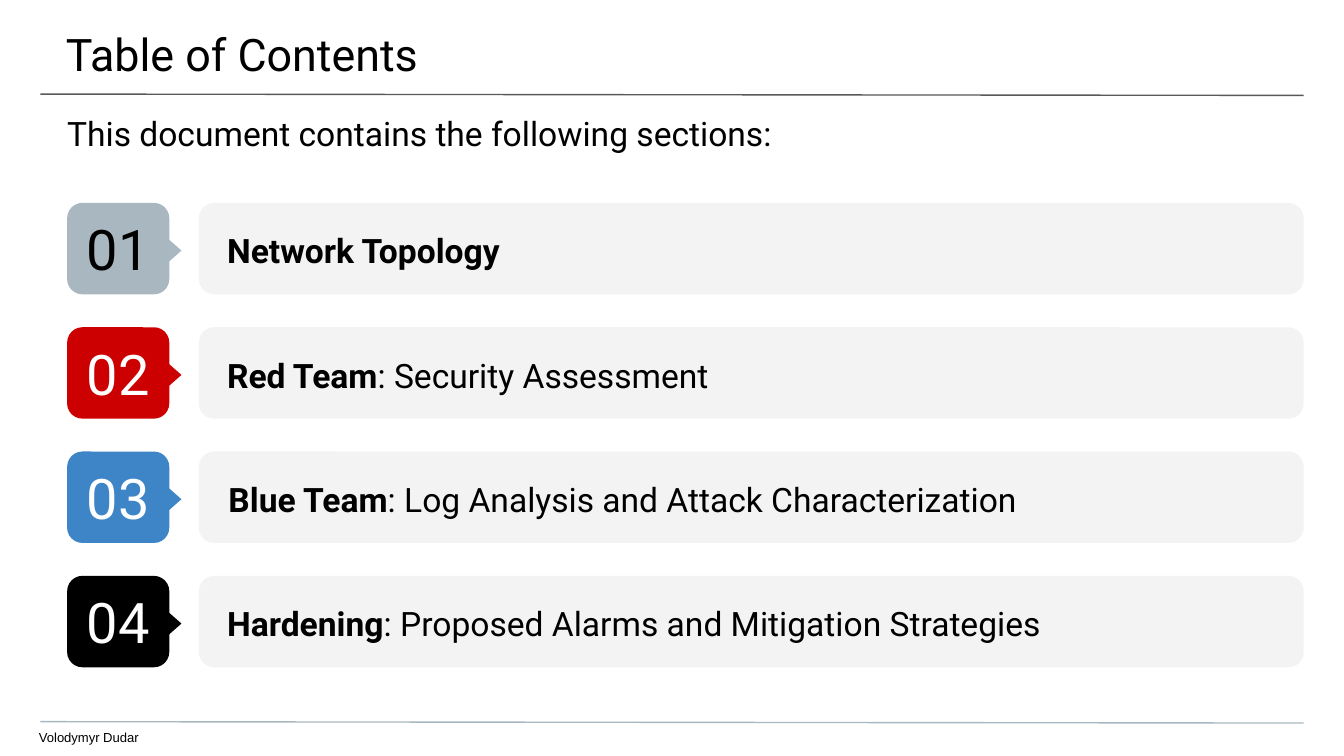
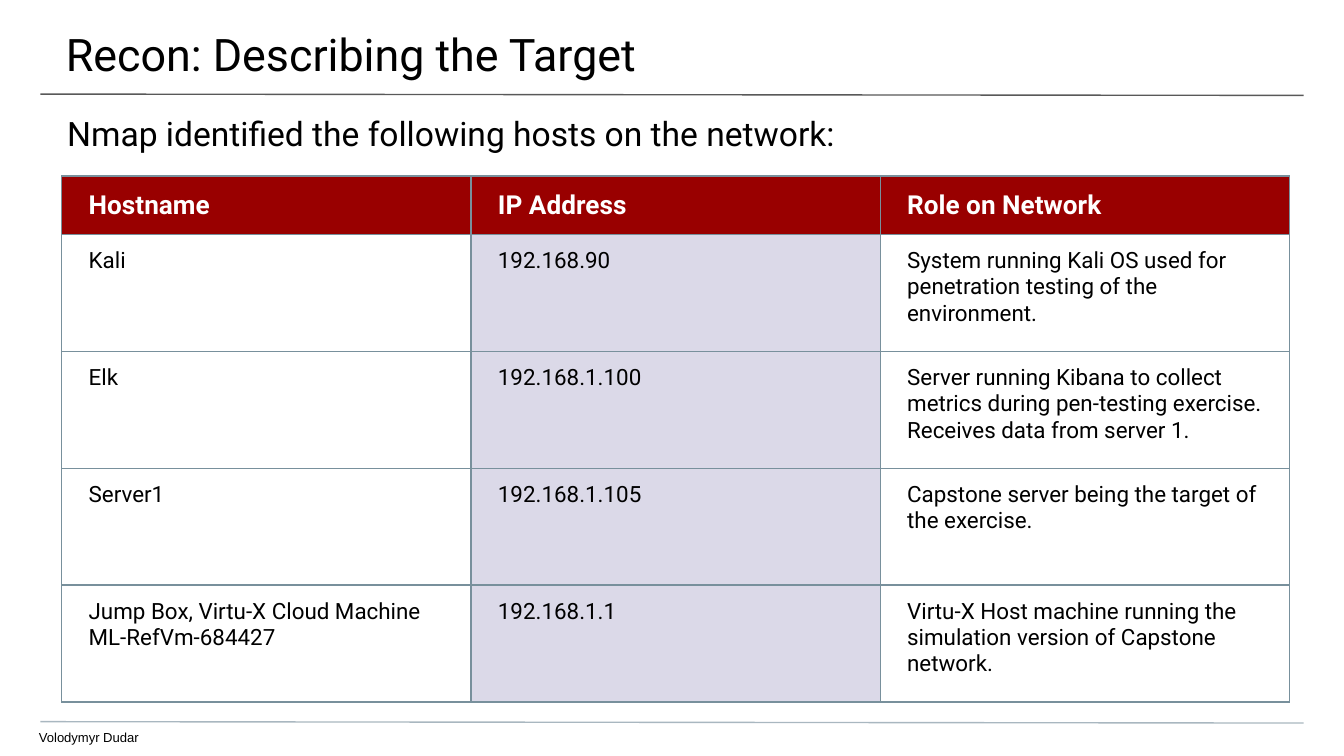
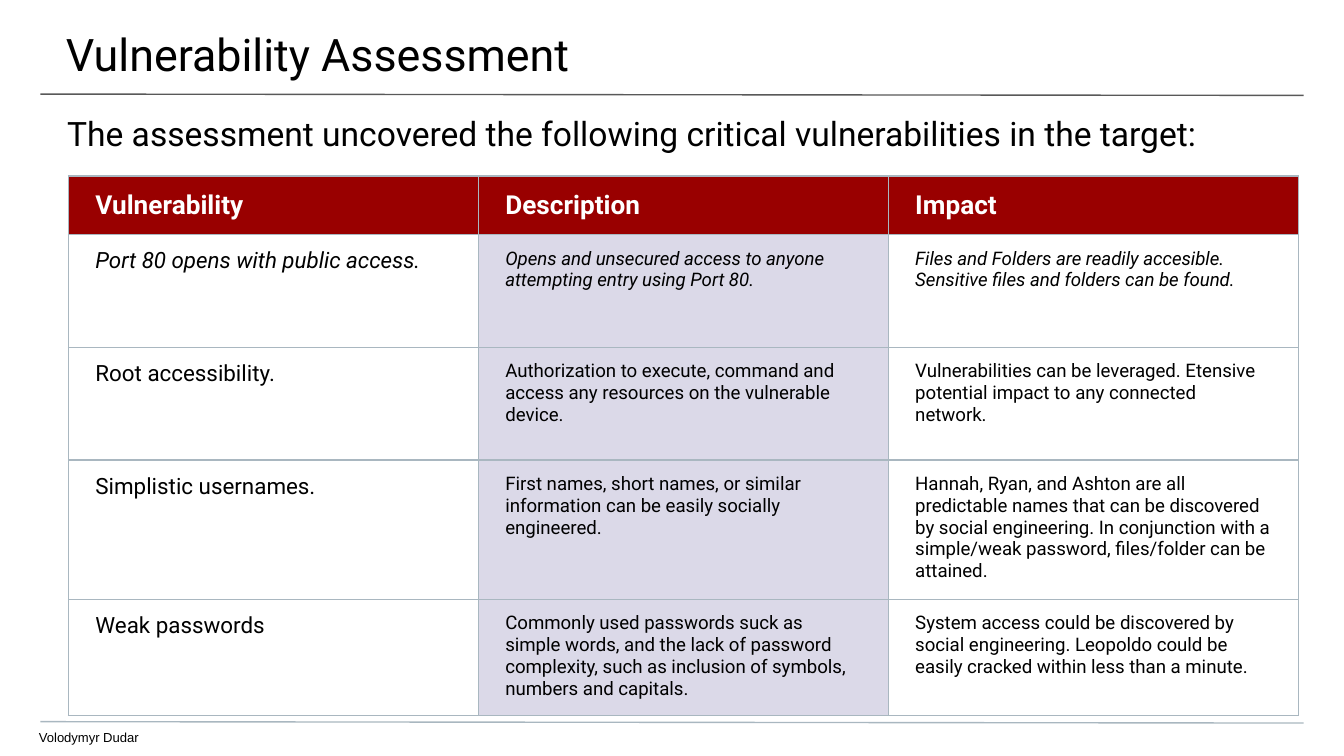
"""Builds three slides of a network security report: contents, hosts and vulnerabilities."""
from dataclasses import dataclass, replace
from typing import NamedTuple

from lxml.etree import SubElement
from pptx import Presentation
from pptx.dml.color import RGBColor
from pptx.enum.shapes import MSO_CONNECTOR, MSO_SHAPE
from pptx.enum.text import MSO_ANCHOR as Anchor, PP_ALIGN as Align
from pptx.oxml.ns import qn
from pptx.presentation import Presentation as Deck
from pptx.shapes.autoshape import Shape
from pptx.slide import Slide
from pptx.table import _Cell as Cell
from pptx.text.text import TextFrame, _Paragraph as Paragraph
from pptx.util import Emu, Pt

EMU_PER_PX = 4572
SLIDE_W, SLIDE_H = 2000, 1125

BLACK = RGBColor(0x00, 0x00, 0x00)
WHITE = RGBColor(0xFF, 0xFF, 0xFF)
RULE_GREY = RGBColor(0x59, 0x59, 0x59)
STEEL = RGBColor(0xA9, 0xB7, 0xC0)
SLATE = RGBColor(0x78, 0x90, 0x9C)
PALE_GREY = RGBColor(0xF3, 0xF3, 0xF3)
TEAM_RED = RGBColor(0xCC, 0x00, 0x00)
TEAM_BLUE = RGBColor(0x3D, 0x85, 0xC6)
HEADER_RED = RGBColor(0x99, 0x00, 0x00)
LILAC = RGBColor(0xDB, 0xD9, 0xE8)

AUTHOR = "Volodymyr Dudar"
SECTION_TOP, SECTION_STEP, SECTION_H = 302, 185, 136
TABLE_TOP = 262


class Box(NamedTuple):
    left: int
    top: int
    width: int
    height: int


class Insets(NamedTuple):
    left: int
    top: int
    right: int
    bottom: int


@dataclass(frozen=True)
class Style:
    size: int
    color: RGBColor = BLACK
    font: str = "Roboto"
    bold: bool = False
    italic: bool = False


@dataclass(frozen=True)
class Section:
    lead: str
    rest: str
    color: RGBColor
    number_color: RGBColor = WHITE
    text_left: int = -2


@dataclass(frozen=True)
class Grid:
    left: int
    column_w: int
    header_h: int
    row_h: int
    border: RGBColor
    detail_size: int
    rows: tuple[tuple[str, str, str], ...]
    italic_row: int = 0


TITLE = Style(24)
LEAD = Style(18)
FOOTER = Style(7, font="Arial")
NUMBER = Style(30)
HEADER = Style(14, WHITE, bold=True)
BODY = Style(12)

SECTIONS = (
    Section("Network Topology", "", STEEL, number_color=BLACK),
    Section("Red Team", ": Security Assessment", TEAM_RED),
    Section("Blue Team", ": Log Analysis and Attack Characterization", TEAM_BLUE, text_left=0),
    Section("Hardening", ": Proposed Alarms and Mitigation Strategies", BLACK),
)

HOSTS = Grid(92, 609, 87, 174, SLATE, 12, (
    ("Hostname", "IP Address", "Role on Network"),
    ("Kali", "192.168.90",
     "System running Kali OS used for penetration testing of the environment."),
    ("Elk", "192.168.1.100",
     "Server running Kibana to collect metrics during pen-testing exercise. "
     "Receives data from server 1."),
    ("Server1", "192.168.1.105", "Capstone server being the target of the exercise."),
    ("Jump Box, Virtu-X Cloud Machine ML-RefVm-684427", "192.168.1.1",
     "Virtu-X Host machine running the simulation version of Capstone network."),
))

VULNERABILITIES = Grid(102, 610, 86, 168, STEEL, 10, (
    ("Vulnerability", "Description", "Impact"),
    ("Port 80 opens with public access.",
     "Opens and unsecured access to anyone attempting entry using Port 80.",
     "Files and Folders are readily accesible. Sensitive files and folders can be found."),
    ("Root accessibility.",
     "Authorization to execute, command and access any resources on the vulnerable device.",
     "Vulnerabilities can be leveraged. Etensive potential impact to any connected network."),
    ("Simplistic usernames.",
     "First names, short names, or similar information can be easily socially engineered.",
     "Hannah, Ryan, and Ashton are all predictable names that can be discovered by social "
     "engineering. In conjunction with a simple/weak password, files/folder can be attained."),
    ("Weak passwords",
     "Commonly used passwords suck as simple words, and the lack of password complexity, "
     "such as inclusion of symbols, numbers and capitals.",
     "System access could be discovered by social engineering. Leopoldo could be easily "
     "cracked within less than a minute."),
), italic_row=1)


def px(length: int) -> Emu:
    return Emu(length * EMU_PER_PX)


def place(box: Box) -> tuple[Emu, ...]:
    return tuple(px(length) for length in box)


def add_run(paragraph: Paragraph, text: str, style: Style) -> None:
    run = paragraph.add_run()
    run.text = text
    run.font.name = style.font
    run.font.size = Pt(style.size)
    run.font.bold = style.bold
    run.font.italic = style.italic
    run.font.color.rgb = style.color


def set_insets(holder: TextFrame | Cell, insets: Insets) -> None:
    holder.margin_left, holder.margin_top, holder.margin_right, holder.margin_bottom = (
        px(inset) for inset in insets)


def add_text(slide: Slide, box: Box, insets: Insets, *runs: tuple[str, Style],
             anchor: Anchor = Anchor.TOP, spacing: float = 1.0) -> None:
    frame = slide.shapes.add_textbox(*place(box)).text_frame
    frame.word_wrap = True
    frame.vertical_anchor = anchor
    set_insets(frame, insets)
    paragraph = frame.paragraphs[0]
    paragraph.line_spacing = spacing
    for text, style in runs:
        add_run(paragraph, text, style)


def paint(shape: Shape, color: RGBColor) -> None:
    shape.shadow.inherit = False
    shape.fill.solid()
    shape.fill.fore_color.rgb = color
    shape.line.fill.background()


def add_rule(slide: Slide, top: int, color: RGBColor) -> None:
    rule = slide.shapes.add_connector(
        MSO_CONNECTOR.STRAIGHT, px(60), px(top), px(1940), px(top + 2))
    rule.line.color.rgb = color
    rule.line.width = Pt(0.75)
    SubElement(rule._element.spPr, qn("a:effectLst"))


def add_page(deck: Deck, title: str, lead: str) -> Slide:
    slide = deck.slides.add_slide(deck.slide_layouts[6])
    add_rule(slide, 140, RULE_GREY)
    add_rule(slide, 1074, STEEL)
    add_text(slide, Box(-2, 0, 2006, 116), Insets(100, 40, 60, 20), (title, TITLE))
    add_text(slide, Box(0, 148, 2000, 80), Insets(100, 20, 100, 0), (lead, LEAD))
    add_text(slide, Box(-2, 1076, 1744, 49), Insets(60, 10, 0, 0), (AUTHOR, FOOTER))
    return slide


def add_section(slide: Slide, index: int, section: Section) -> None:
    top = SECTION_TOP + index * SECTION_STEP
    bar = slide.shapes.add_shape(
        MSO_SHAPE.ROUNDED_RECTANGLE, *place(Box(296, top, 1644, SECTION_H)))
    paint(bar, PALE_GREY)

    marker = slide.shapes.add_group_shape().shapes
    badge = marker.add_shape(
        MSO_SHAPE.ROUNDED_RECTANGLE, *place(Box(100, top, 152, SECTION_H)))
    paint(badge, section.color)
    set_insets(badge.text_frame, Insets(20, 20, 20, 20))
    badge.text_frame.vertical_anchor = Anchor.MIDDLE
    number = badge.text_frame.paragraphs[0]
    number.alignment = Align.CENTER
    add_run(number, f"{index + 1:02}", replace(NUMBER, color=section.number_color))
    pointer = marker.add_shape(
        MSO_SHAPE.FLOWCHART_EXTRACT, *place(Box(212, top + 50, 74, 42)))
    pointer.rotation = 90
    paint(pointer, section.color)

    runs = [(section.lead, replace(LEAD, bold=True))]
    if section.rest:
        runs.append((section.rest, LEAD))
    add_text(slide, Box(section.text_left, top, 2006, 132), Insets(340, 0, 100, 0), *runs,
             anchor=Anchor.MIDDLE, spacing=1.15)


def add_borders(cell: Cell, color: RGBColor) -> None:
    properties = cell._tc.get_or_add_tcPr()
    for side in ("a:lnL", "a:lnR", "a:lnT", "a:lnB"):
        edge = SubElement(properties, qn(side), w=str(Pt(0.75)))
        SubElement(SubElement(edge, qn("a:solidFill")), qn("a:srgbClr"), val=str(color))


def fill_cell(cell: Cell, text: str, style: Style, fill: RGBColor, anchor: Anchor) -> None:
    set_insets(cell, Insets(40, 20, 40, 20))
    cell.vertical_anchor = anchor
    cell.fill.solid()
    cell.fill.fore_color.rgb = fill
    add_run(cell.text_frame.paragraphs[0], text, style)


def add_grid(slide: Slide, grid: Grid) -> None:
    heights = [grid.header_h] + [grid.row_h] * (len(grid.rows) - 1)
    columns = len(grid.rows[0])
    box = Box(grid.left, TABLE_TOP, grid.column_w * columns, sum(heights))
    table = slide.shapes.add_table(len(heights), columns, *place(box)).table
    table.first_row = table.horz_banding = False
    for column in table.columns:
        column.width = px(grid.column_w)
    for row, (height, texts) in enumerate(zip(heights, grid.rows)):
        table.rows[row].height = px(height)
        for column, text in enumerate(texts):
            cell = table.cell(row, column)
            add_borders(cell, grid.border)
            if row == 0:
                fill_cell(cell, text, HEADER, HEADER_RED, Anchor.MIDDLE)
                continue
            style = replace(BODY, size=grid.detail_size if column else BODY.size,
                            italic=row == grid.italic_row)
            fill_cell(cell, text, style, LILAC if column == 1 else WHITE, Anchor.TOP)


def main() -> None:
    deck = Presentation()
    deck.slide_width, deck.slide_height = px(SLIDE_W), px(SLIDE_H)

    contents = add_page(deck, "Table of Contents",
                        "This document contains the following sections:")
    for index, section in enumerate(SECTIONS):
        add_section(contents, index, section)

    recon = add_page(deck, "Recon: Describing the Target",
                     "Nmap identified the following hosts on the network:")
    add_grid(recon, HOSTS)

    assessment = add_page(
        deck, "Vulnerability Assessment",
        "The assessment uncovered the following critical vulnerabilities in the target:")
    add_grid(assessment, VULNERABILITIES)

    deck.save("out.pptx")


if __name__ == "__main__":
    main()
